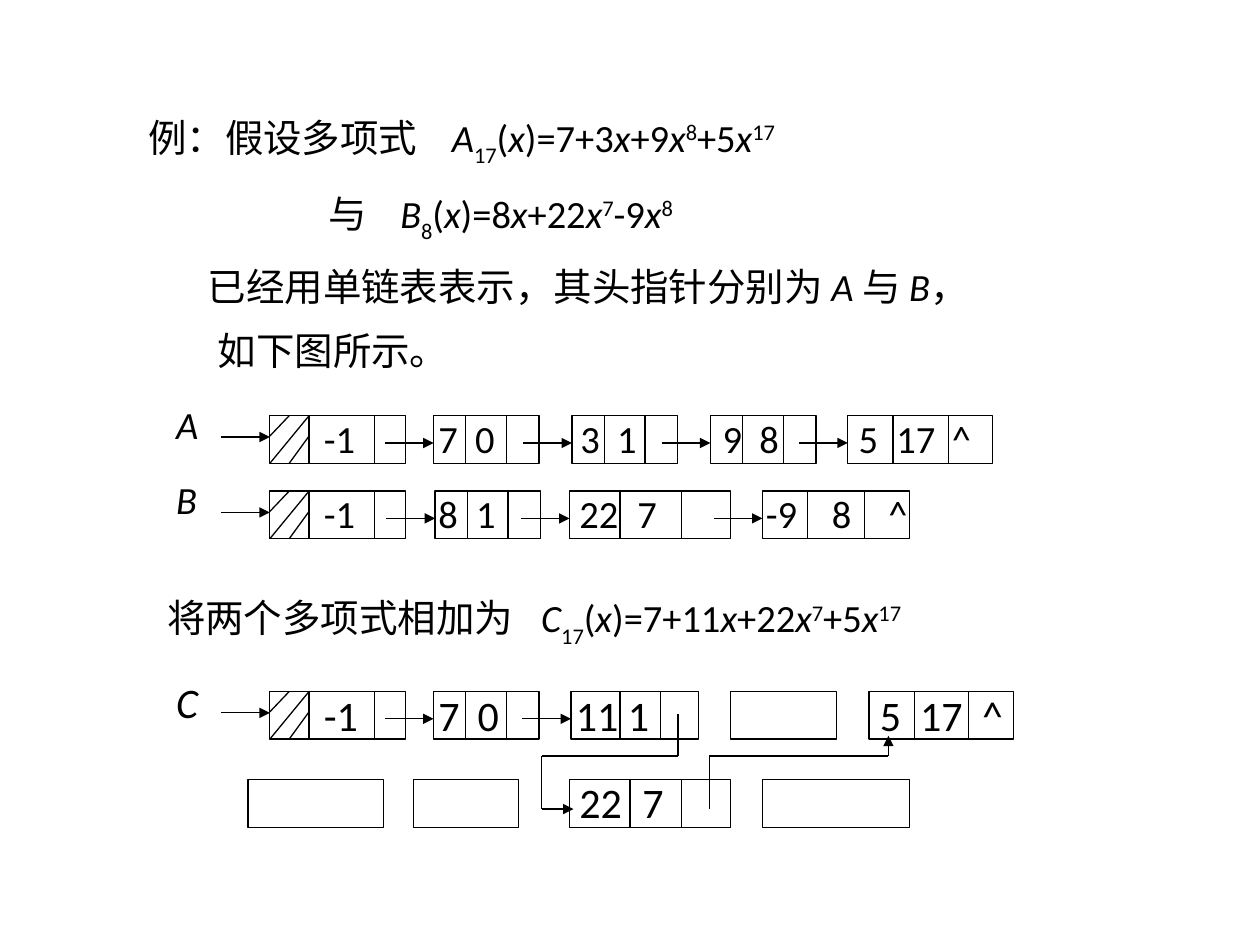
from itertools import pairwise

from pptx import Presentation
from pptx.dml.color import RGBColor
from pptx.enum.shapes import MSO_CONNECTOR as Connector, MSO_SHAPE as Shape
from pptx.oxml.ns import qn
from pptx.util import Cm, Pt
from lxml.etree import SubElement

FONT = "Calibri"
BLACK = "000000"
WHITE = "FFFFFF"
NODE_HEIGHT = 0.96
ARROW_LENGTH = 0.98
HEAD_ARROW_Y = 0.43
ARROW_Y = 0.55
ROW_A, ROW_B, ROW_C, ROW_SPARE = 8.38, 9.9, 13.94, 15.72
HEADER_LEFT, HEADER_WIDTH = 5.44, 2.74
SMALL_LEFT, SMALL_WIDTH, SMALL_PITCH = 8.74, 2.13, 2.79
SMALL_DIVIDERS = (0.65, 1.47)


def color(value):
    return RGBColor.from_string(value)


def plain(text):
    return [(text, False, 0)]


def polynomial(name, degree, terms):
    runs = [(name, True, 0), (degree, False, -30), ("(", False, 0),
            ("x", True, 0), (")=", False, 0)]
    for term in terms.split():
        coefficient, variable, power = term.partition("x")
        runs.append((coefficient, False, 0))
        if variable:
            runs.append((variable, True, 0))
        if power:
            runs.append((power, False, 30))
    return runs


def fill_paragraph(paragraph, runs, size, tabs=(), indent=0, spacing=None):
    properties = paragraph._p.get_or_add_pPr()
    if indent:
        properties.set("marL", "0")
        properties.set("indent", str(Cm(indent)))
    if tabs:
        tab_list = SubElement(properties, qn("a:tabLst"))
        for position in tabs:
            SubElement(tab_list, qn("a:tab"), pos=str(Cm(position)), algn="l")
    if spacing:
        paragraph.line_spacing = spacing
    paragraph.font.name = FONT
    paragraph.font.size = Pt(size)
    paragraph.font.color.rgb = color(BLACK)
    for text, italic, baseline in runs:
        run = paragraph.add_run()
        run.text = text
        if italic:
            run.font.italic = True
        if baseline:
            run._r.get_or_add_rPr().set("baseline", str(baseline * 1000))


def add_text(slide, left, top, width, height, runs, size=22, tabs=()):
    box = slide.shapes.add_textbox(Cm(left), Cm(top), Cm(width), Cm(height))
    box.text_frame.word_wrap = True
    fill_paragraph(box.text_frame.paragraphs[0], runs, size, tabs)


def add_line(slide, start, end, arrow=False):
    line = slide.shapes.add_connector(
        Connector.STRAIGHT, *(Cm(value) for value in (*start, *end)))
    line.line.color.rgb = color(BLACK)
    line.line.width = Pt(0.75)
    if arrow:
        SubElement(line.line._get_or_add_ln(), qn("a:tailEnd"), type="triangle")
    SubElement(line._element.spPr, qn("a:effectLst"))


def add_route(slide, points):
    for start, end in pairwise(points):
        add_line(slide, start, end, arrow=end == points[-1])


def add_arrow(slide, tip, y):
    add_line(slide, (tip - ARROW_LENGTH, y), (tip, y), arrow=True)


def add_node(slide, left, top, width, dividers=()):
    node = slide.shapes.add_shape(
        Shape.RECTANGLE, Cm(left), Cm(top), Cm(width), Cm(NODE_HEIGHT))
    node.shadow.inherit = False
    node.fill.solid()
    node.fill.fore_color.rgb = color(WHITE)
    node.line.color.rgb = color(BLACK)
    node.line.width = Pt(0.75)
    for offset in dividers:
        add_line(slide, (left + offset, top), (left + offset, top + NODE_HEIGHT))


def add_header(slide, label, top, size, text_shift):
    left = HEADER_LEFT
    middle, edge, bottom = left + 0.39, left + 0.79, top + NODE_HEIGHT
    add_node(slide, left, top, HEADER_WIDTH, (0.79, 2.11))
    add_line(slide, (edge, top), (left, bottom))
    add_line(slide, (middle, top), (left, top + 0.41))
    add_line(slide, (edge, top + 0.41), (middle, bottom))
    add_text(slide, left + 0.84, top + text_shift, 1.47, 1.24, plain("-1"), size)
    add_text(slide, 3.3, top - 0.42, 1.47, 1.24, [(label, True, 0)], size)
    add_arrow(slide, left, top + HEAD_ARROW_Y)


def add_data_node(slide, top, size, text_shift, left, width, dividers,
                  text, text_offset, tabs, linked=True):
    add_node(slide, left, top, width, dividers)
    add_text(slide, left + text_offset, top + text_shift, width + 0.8, 1.24,
             plain(text), size, tabs)
    if linked:
        add_arrow(slide, left, top + ARROW_Y)


def add_list(slide, label, top, size, text_shift, nodes):
    add_header(slide, label, top, size, text_shift)
    for node in nodes:
        add_data_node(slide, top, size, text_shift, *node)


def add_problem(slide):
    box = slide.shapes.add_textbox(Cm(2.74), Cm(1.73), Cm(20.17), Cm(5.38))
    frame = box.text_frame
    frame.word_wrap = True
    lines = [
        (plain("例：假设多项式\t") + polynomial("A", "17", "7 +3x +9x8 +5x17"),
         (6.12,), 0),
        (plain("与\t") + polynomial("B", "8", "8x +22x7 -9x8"), (5.08,), 3.63),
        ([("已经用单链表表示，其头指针分别为 ", False, 0), ("A ", True, 0),
          ("与 ", False, 0), ("B", True, 0), ("，", False, 0)], (), 1.2),
        (plain("如下图所示。"), (), 1.4),
    ]
    for index, (runs, tabs, indent) in enumerate(lines):
        paragraph = frame.add_paragraph() if index else frame.paragraphs[0]
        fill_paragraph(paragraph, runs, 22, tabs, indent, 1.4)


def main():
    presentation = Presentation()
    presentation.slide_width, presentation.slide_height = Cm(25.4), Cm(19.05)
    slide = presentation.slides.add_slide(presentation.slide_layouts[6])

    add_problem(slide)
    small = [(SMALL_LEFT + SMALL_PITCH * index, SMALL_WIDTH, SMALL_DIVIDERS,
              text, offset, (0.74,))
             for index, (text, offset) in enumerate(
                 [("7\t0", -0.15), ("3\t1", -0.08), ("9\t8", 0)])]
    add_list(slide, "A", ROW_A, 22, -0.13, small + [
        (17.09, 2.92, (0.91, 2.03), "5\t17\t^", -0.03, (0.76, 1.88))])
    add_list(slide, "B", ROW_B, 22, -0.15, [
        (8.77, SMALL_WIDTH, SMALL_DIVIDERS, "8\t1", -0.18, (0.76,)),
        (11.48, 3.25, (1.02, 2.26), "22\t7", -0.05, (1.17,)),
        (15.37, 2.97, (0.91, 2.06), "-9\t8\t^", -0.18, (1.33, 2.47))])

    add_text(slide, 3.12, 11.86, 17, 1.19,
             plain("将两个多项式相加为\t")
             + polynomial("C", "17", "7 +11x +22x7 +5x17"), tabs=(7.54,))

    add_list(slide, "C", ROW_C, 24, -0.17, [
        (SMALL_LEFT, SMALL_WIDTH, SMALL_DIVIDERS, "7\t0", -0.15, (0.79,)),
        (11.51, 2.57, (0.99, 1.8), "11 1", -0.15, ()),
        (17.52, 2.92, (0.91, 2.01), "5\t17\t^", -0.03, (0.81, 2.06), False)])
    add_data_node(slide, ROW_SPARE, 24, -0.2, 11.48, 3.25, (1.22, 2.26),
                  "22\t7", -0.05, (1.27,), False)
    for left, top, width in [
            (14.73, ROW_C, SMALL_WIDTH), (5, ROW_SPARE, HEADER_WIDTH),
            (8.33, ROW_SPARE, SMALL_WIDTH), (15.37, ROW_SPARE, 2.97)]:
        add_node(slide, left, top, width)
    add_route(slide, [(13.67, 14.4), (13.67, 15.24), (10.92, 15.24),
                      (10.92, 16.31), (11.56, 16.31)])
    add_route(slide, [(14.3, 16.31), (14.3, 15.24), (17.91, 15.24),
                      (17.91, 14.83)])

    presentation.save("out.pptx")


if __name__ == "__main__":
    main()
